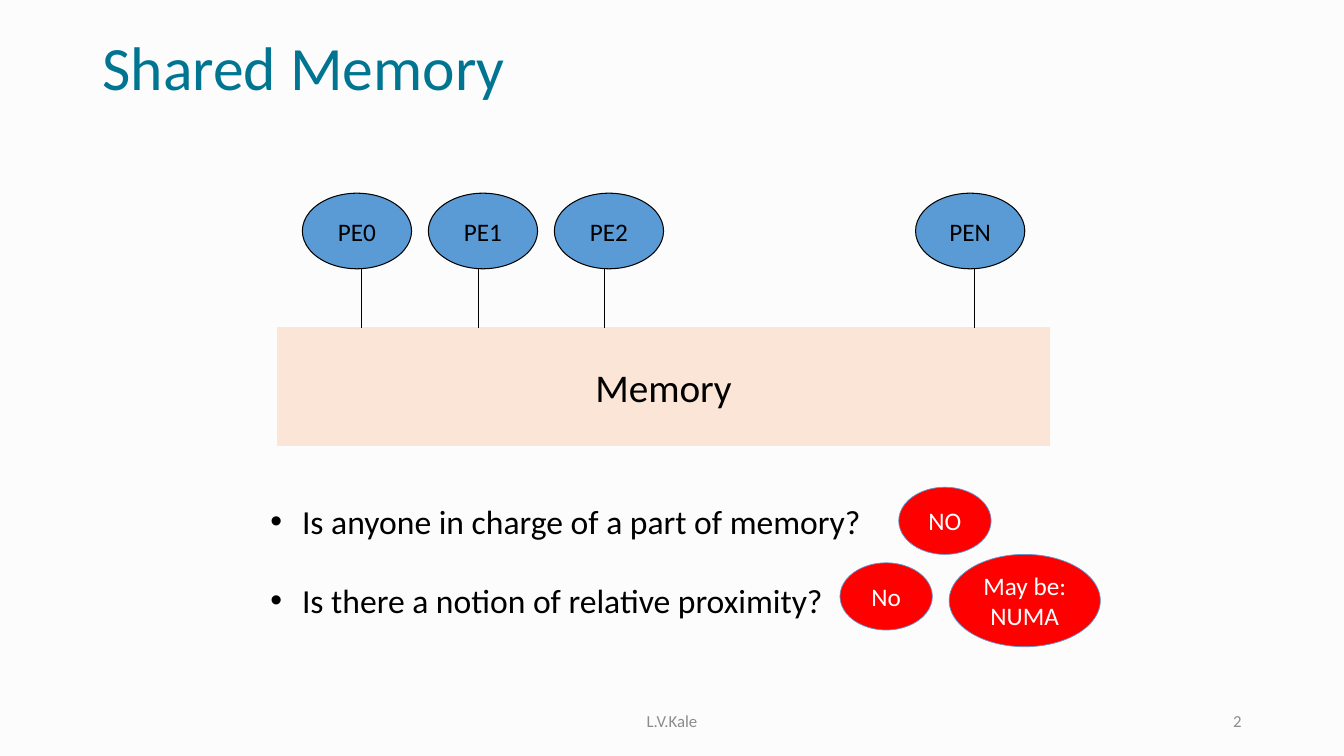
import pptx
import pptx.dml.color
import pptx.enum.shapes
import pptx.enum.text
import pptx.util
from lxml import etree

Pt = pptx.util.Pt
Align = pptx.enum.text.PP_ALIGN
Anchor = pptx.enum.text.MSO_ANCHOR
Shape = pptx.enum.shapes.MSO_SHAPE
A = "{http://schemas.openxmlformats.org/drawingml/2006/main}"


class SlideBuilder:
    """Holds the style and the current slide, and adds each kind of element."""

    font = "Calibri"
    colors = {
        "background": "FCFCFC", "title": "007592", "footer": "8C8C8C",
        "ink": "000000", "processor": "5B9BD5", "memory": "FBE5D6",
        "answer": "FF0000", "answer_text": "FFFFFF",
    }

    def __init__(self, deck):
        self.slide = deck.slides.add_slide(deck.slide_layouts[1])
        fill = self.slide.background.fill
        fill.solid()
        fill.fore_color.rgb = self.color("background")

    def color(self, name):
        return pptx.dml.color.RGBColor.from_string(self.colors[name])

    def set_text(self, frame, text, size, color, align, anchor=Anchor.MIDDLE, wrap=True):
        frame.text = text
        frame.word_wrap = wrap
        frame.auto_size = pptx.enum.text.MSO_AUTO_SIZE.NONE
        frame.vertical_anchor = anchor
        for paragraph in frame.paragraphs:
            paragraph.alignment = align
            for run in paragraph.runs:
                run.font.name = self.font
                run.font.size = Pt(size)
                run.font.color.rgb = self.color(color)

    def place(self, holder, left, top, width, height):
        holder.left, holder.top = Pt(left), Pt(top)
        holder.width, holder.height = Pt(width), Pt(height)

    def title(self, text, *box):
        heading = self.slide.shapes.title
        self.place(heading, *box)
        self.set_text(heading.text_frame, text, 44, "title", Align.LEFT)
        heading.text_frame.paragraphs[0].line_spacing = 0.9

    def bullets(self, items, gap, *box):
        body = self.slide.placeholders[1]
        self.place(body, *box)
        self.set_text(body.text_frame, "\n".join(items), 24, "ink", Align.LEFT, Anchor.TOP)
        for index, paragraph in enumerate(body.text_frame.paragraphs):
            paragraph.space_before = Pt(gap if index else 0)
            properties = paragraph._p.get_or_add_pPr()
            properties.set("marL", str(Pt(22.5)))
            properties.set("indent", str(Pt(-22.5)))
            etree.SubElement(properties, A + "buFont", typeface="Arial")
            etree.SubElement(properties, A + "buChar", char="•")

    def footer(self, text, align, *box):
        note = self.slide.shapes.add_textbox(*map(Pt, box))
        self.set_text(note.text_frame, text, 12, "footer", align)

    def block(self, kind, text, size, fill, line, color, box, weight=0.75, wrap=False):
        block = self.slide.shapes.add_shape(kind, *map(Pt, box))
        block.shadow.inherit = False
        block.fill.solid()
        block.fill.fore_color.rgb = self.color(fill)
        block.line.color.rgb = self.color(line)
        block.line.width = Pt(weight)
        self.set_text(block.text_frame, text, size, color, Align.CENTER, wrap=wrap)

    def processor(self, text, left):
        self.block(Shape.OVAL, text, 18, "processor", "ink", "ink", (left, 138, 78, 54))

    def answer(self, text, *box):
        self.block(Shape.OVAL, text, 18, "answer", "processor", "answer_text", box, 0.5, True)

    def link(self, x, top, bottom):
        link = self.slide.shapes.add_connector(
            pptx.enum.shapes.MSO_CONNECTOR.STRAIGHT, Pt(x), Pt(top), Pt(x), Pt(bottom))
        link.line.color.rgb = self.color("ink")
        link.line.width = Pt(0.75)
        etree.SubElement(link._element.spPr, A + "effectLst")


def main():
    deck = pptx.Presentation()
    deck.slide_width, deck.slide_height = Pt(960), Pt(540)
    page = SlideBuilder(deck)
    page.title("Shared Memory", 66, 20, 828, 60.5)
    page.footer("L.V.Kale", Align.CENTER, 318, 500.5, 324, 28.75)
    page.footer("2", Align.RIGHT, 678, 500.5, 216, 28.75)

    page.block(Shape.RECTANGLE, "Memory", 28, "memory", "memory", "ink", (198, 234, 552, 84))
    processors = (("PE0", 216, 258), ("PE1", 306, 342), ("PE2", 396, 432), ("PEN", 654, 696))
    for label, left, link_x in processors:
        page.processor(label, left)
        page.link(link_x, 192, 234)

    questions = ("Is anyone in charge of a part of memory?",
                 "Is there a notion of relative proximity?")
    page.bullets(questions, 28, 186, 354, 588, 94.5)
    page.answer("NO", 642, 348, 66, 48)
    page.answer("No", 600, 402, 66, 48)
    page.answer("May be: NUMA", 678, 396, 108, 66)
    deck.save("out.pptx")


if __name__ == "__main__":
    main()
